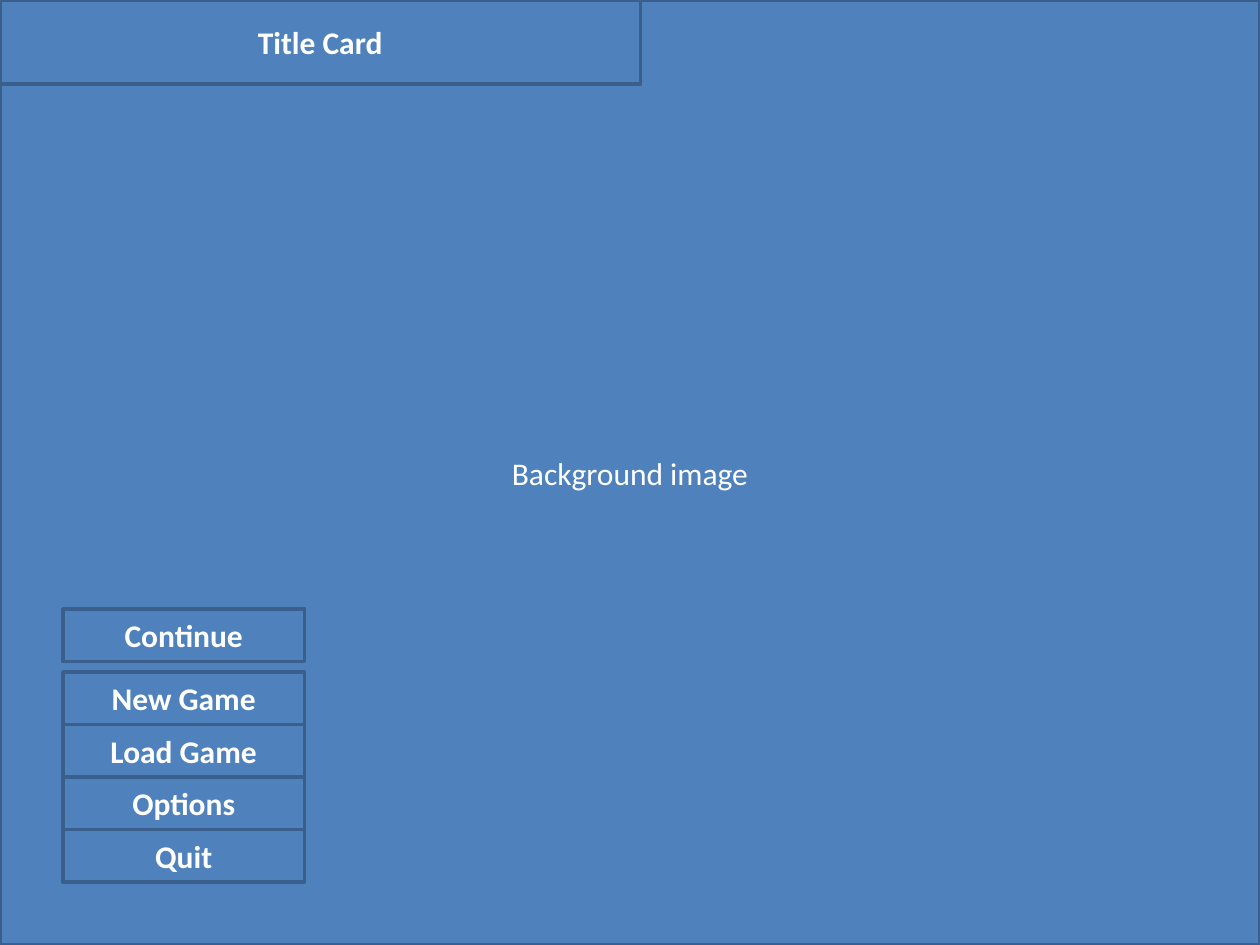
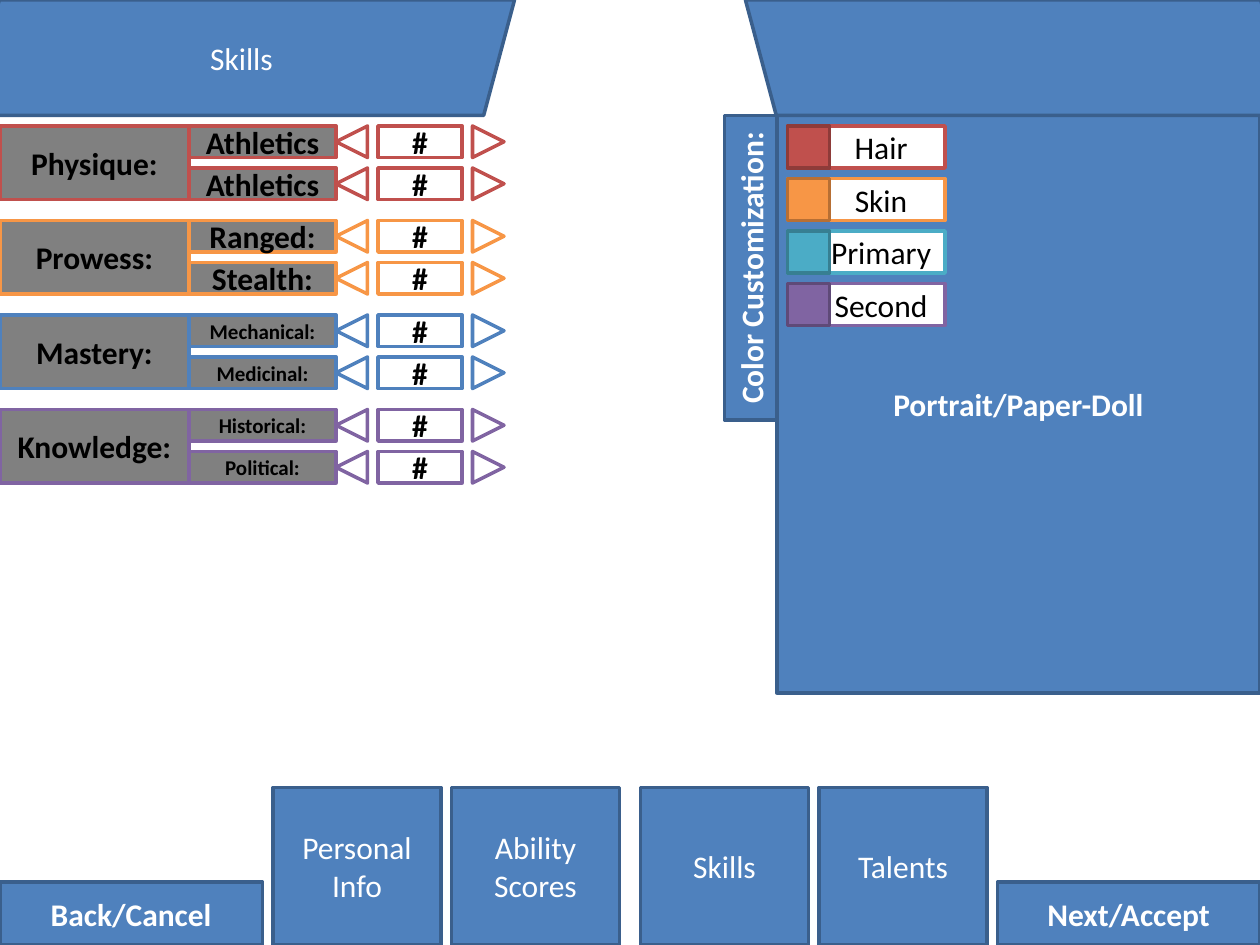
"""Build two wireframe slides for a game: the main menu and the skills page of character creation."""
from pptx import Presentation
from pptx.dml.color import RGBColor
from pptx.enum.shapes import MSO_SHAPE
from pptx.enum.text import MSO_ANCHOR, PP_ALIGN
from pptx.util import Inches, Pt

RECT = MSO_SHAPE.RECTANGLE
SLANT = MSO_SHAPE.PARALLELOGRAM
TRIANGLE = MSO_SHAPE.ISOSCELES_TRIANGLE
CENTER = PP_ALIGN.CENTER
MIDDLE = MSO_ANCHOR.MIDDLE

FONT = "Calibri"
BLUE, BLUE_EDGE = "4F81BD", "3A5F8C"
RED, ORANGE, TEAL, PURPLE = "C0504D", "F79646", "4BACC6", "8064A2"
WHITE, BLACK, GRAY = "FFFFFF", "000000", "808080"

UNITS_PER_INCH = 12
SLIDE_W, SLIDE_H = 120, 90

MENU_TOPS = [("Continue", 58), ("New Game", 64), ("Load Game", 69), ("Options", 74), ("Quit", 79)]
SKILL_GROUPS = [
    ("Physique:", RED, 18, ["Athletics", "Athletics"]),
    ("Prowess:", ORANGE, 18, ["Ranged:", "Stealth:"]),
    ("Mastery:", BLUE, 12, ["Mechanical:", "Medicinal:"]),
    ("Knowledge:", PURPLE, 12, ["Historical:", "Political:"]),
]
SWATCHES = [
    ("Hair", RED, "8E3B39"),
    ("Skin", ORANGE, "B76F34"),
    ("Primary", TEAL, "377F92"),
    ("Second", PURPLE, "5F4A78"),
]
TAB_LEFTS = [("Personal Info", 26), ("Ability Scores", 43), ("Skills", 61), ("Talents", 78)]
NAV_LEFTS = [("Back/Cancel", 0), ("Next/Accept", 95)]


def units(count):
    return Inches(count / UNITS_PER_INCH)


def rgb(color):
    return RGBColor.from_string(color)


def panel(slide, left, top, width, height, text="", fill=BLUE, edge=BLUE_EDGE,
          color=WHITE, bold=True, size=18, kind=RECT, rotation=0):
    """Add an outlined shape, placed in twelfths of an inch, with centred text."""
    shape = slide.shapes.add_shape(kind, units(left), units(top), units(width), units(height))
    shape.shadow.inherit = False
    shape.rotation = rotation
    shape.fill.solid()
    shape.fill.fore_color.rgb = rgb(fill)
    shape.line.color.rgb = rgb(edge)
    shape.line.width = Pt(2)
    if text:
        frame = shape.text_frame
        frame.word_wrap = True
        frame.vertical_anchor = MIDDLE
        paragraph = frame.paragraphs[0]
        paragraph.text = text
        paragraph.alignment = CENTER
        font = paragraph.font
        font.name, font.size, font.bold = FONT, Pt(size), bold
        font.color.rgb = rgb(color)
    return shape


def slanted_header(slide, left, text="", mirrored=False):
    header = panel(slide, left, 0, 52, 11, text, bold=False, kind=SLANT)
    header.adjustments[0] = 0.267
    if mirrored:
        header._element.spPr.xfrm.set("flipH", "1")


def build_menu(slide):
    panel(slide, 0, 0, SLIDE_W, SLIDE_H, "Background image", bold=False)
    for choice, top in MENU_TOPS:
        panel(slide, 6, top, 23, 5, choice)
    panel(slide, 0, 0, 61, 8, "Title Card")


def build_portrait(slide):
    panel(slide, 74, 11, 46, 55, "Portrait/Paper-Doll")
    slanted_header(slide, 71, mirrored=True)
    for row, (part, tint, tint_edge) in enumerate(SWATCHES):
        top = 12 + 5 * row
        label = panel(slide, 75, top, 15, 4, part, WHITE, tint, BLACK, bold=False)
        label.text_frame.margin_left = units(4)
        panel(slide, 75, top, 4, 4, fill=tint, edge=tint_edge)
    panel(slide, 57, 23, 29, 5, "Color Customization:", rotation=270)


def build_skills(slide):
    slanted_header(slide, -3, "Skills")
    for row, (group, tint, size, skills) in enumerate(SKILL_GROUPS):
        group_top = 12 + 9 * row
        panel(slide, 0, group_top, 18, 7, group, GRAY, tint, BLACK)
        for line, skill in enumerate(skills):
            top = group_top + 4 * line
            panel(slide, 18, top, 14, 3, skill, GRAY, tint, BLACK, size=size)
            panel(slide, 36, top, 8, 3, "#", WHITE, tint, BLACK)
            for left, rotation in ((32, 270), (45, 90)):
                panel(slide, left, top, 3, 3, fill=WHITE, edge=tint, kind=TRIANGLE, rotation=rotation)


def build_navigation(slide):
    for step, left in NAV_LEFTS:
        panel(slide, left, 84, 25, 6, step)
    for tab, left in TAB_LEFTS:
        panel(slide, left, 75, 16, 15, tab, bold=False)


def main():
    deck = Presentation()
    deck.slide_width, deck.slide_height = units(SLIDE_W), units(SLIDE_H)
    blank = deck.slide_layouts[6]
    build_menu(deck.slides.add_slide(blank))
    creation = deck.slides.add_slide(blank)
    build_portrait(creation)
    build_navigation(creation)
    build_skills(creation)
    deck.save("out.pptx")


if __name__ == "__main__":
    main()
